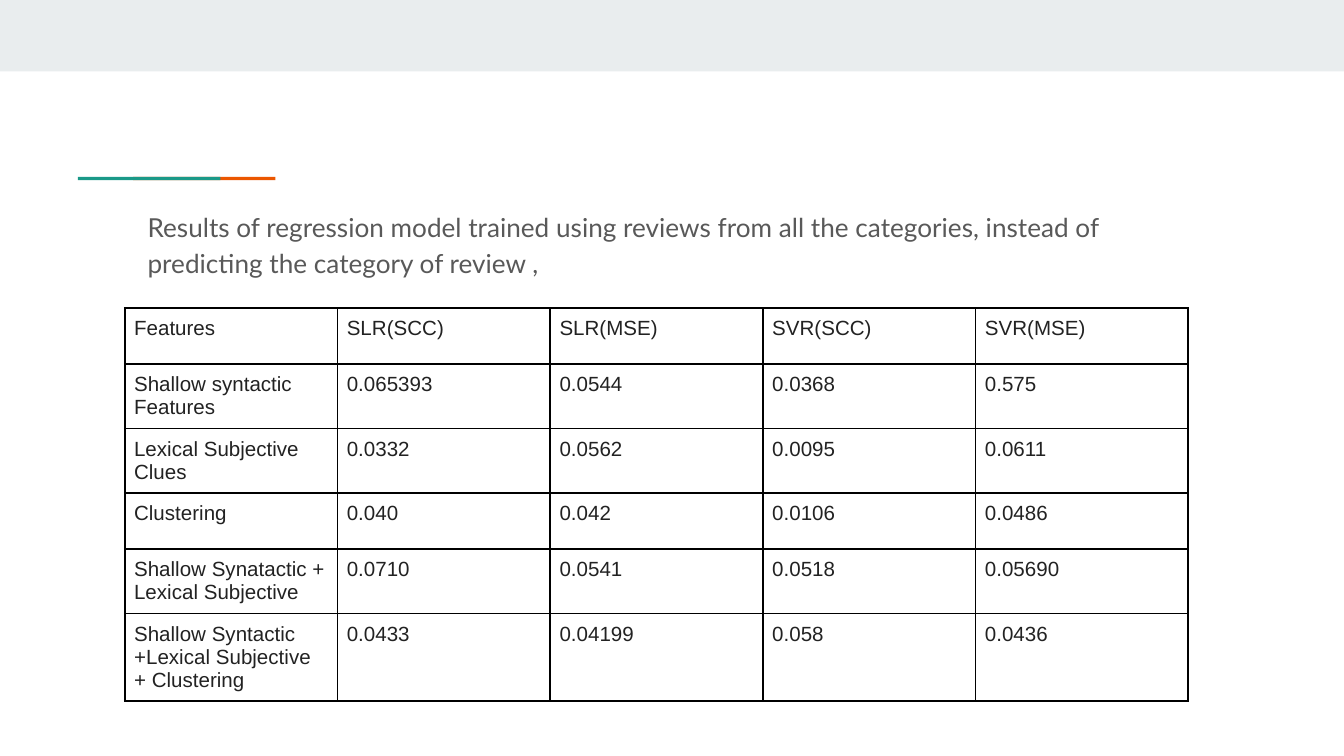
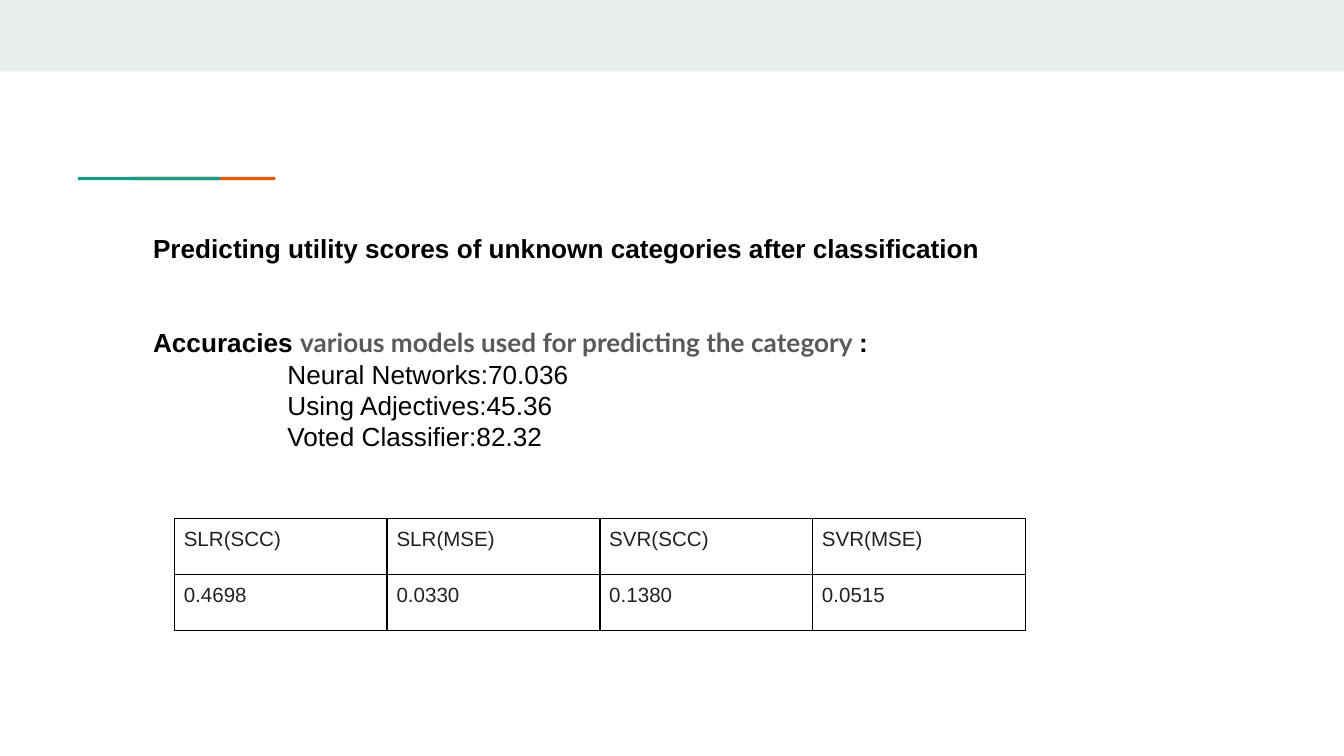
from dataclasses import dataclass

from lxml import etree
from pptx import Presentation
from pptx.dml.color import RGBColor
from pptx.enum.shapes import MSO_SHAPE
from pptx.oxml.ns import qn
from pptx.util import Inches, Pt

RECT = MSO_SHAPE.RECTANGLE
SLIDE_W = Inches(10)
SLIDE_H = SLIDE_W * 9 // 16

COLORS = {
    "band": "E9EDEE",
    "orange": "EB5600",
    "green": "1A9988",
    "body": "595959",
    "cell": "222222",
    "black": "000000",
}
SANS, LATO = "Arial", "Lato"
TEXT_SIZE, CELL_SIZE = 14, 11
COL_W, ROW_H = 15.83, 7.41  # table grid, percent of the slide
CELL_MARGIN = Inches(0.07)
TEXT_MARGIN = Inches(0.1)
LINE_PITCH = Pt(16.8)


@dataclass(frozen=True)
class Box:
    """Position and size in percent of the slide's width and height."""
    left: float
    top: float
    width: float
    height: float

    def emu(self) -> tuple[int, int, int, int]:
        return across(self.left), down(self.top), across(self.width), down(self.height)


@dataclass(frozen=True)
class Bar:
    box: Box
    color: str


@dataclass(frozen=True)
class Span:
    text: str
    font: str = SANS
    color: str = "black"
    bold: bool = False


@dataclass(frozen=True)
class Line:
    spans: tuple[Span, ...]
    indent: float = 0
    lines_before: int = 0


SHARED_BARS = (
    Bar(Box(0, 0, 100, 9.45), "band"),
    Bar(Box(9.9, 23.4, 10.6, 0.45), "orange"),
    Bar(Box(5.8, 23.4, 10.6, 0.45), "green"),
)
METRICS = ["SLR(SCC)", "SLR(MSE)", "SVR(SCC)", "SVR(MSE)"]
FEATURE_ROWS = [
    ["Features", *METRICS],
    ["Shallow syntactic Features", "0.065393", "0.0544", "0.0368", "0.575"],
    ["Lexical Subjective Clues", "0.0332", "0.0562", "0.0095", "0.0611"],
    ["Clustering", "0.040", "0.042", "0.0106", "0.0486"],
    ["Shallow Synatactic + Lexical Subjective", "0.0710", "0.0541", "0.0518", "0.05690"],
    ["Shallow Syntactic +Lexical Subjective + Clustering",
     "0.0433", "0.04199", "0.058", "0.0436"],
]
CLASSIFIED_ROWS = [METRICS, ["0.4698", "0.0330", "0.1380", "0.0515"]]

REGRESSION_TEXT = [Line((Span(
    "Results of regression model trained using reviews from all the categories, "
    "instead of predicting the category of review ,", LATO, "body"),))]
ACCURACIES = ["Neural Networks:70.036", "Using Adjectives:45.36", "Voted Classifier:82.32"]
ACCURACY_TEXT = [
    Line((Span("Predicting utility scores of unknown categories after classification",
               bold=True),)),
    Line((Span("Accuracies ", bold=True),
          Span("various models used for predicting the category ", LATO, "body", True),
          Span(":", bold=True)), lines_before=2),
    *(Line((Span(text),), indent=1) for text in ACCURACIES),
]


def across(percent: float) -> int:
    return round(SLIDE_W * percent / 100)


def down(percent: float) -> int:
    return round(SLIDE_H * percent / 100)


def rgb(name: str) -> RGBColor:
    return RGBColor.from_string(COLORS[name])


def style_run(r, font: str, size: float, color: str, bold: bool = False) -> None:
    r.font.name = font
    r.font.size = Pt(size)
    r.font.bold = bold
    r.font.color.rgb = rgb(color)


def add_bar(slide, bar: Bar) -> None:
    sp = slide.shapes.add_shape(RECT, *bar.box.emu())
    sp.shadow.inherit = False
    sp.fill.solid()
    sp.fill.fore_color.rgb = rgb(bar.color)
    sp.line.fill.background()


def new_slide(prs):
    """Add a blank slide with the shared band and accent line."""
    slide = prs.slides.add_slide(prs.slide_layouts[6])
    for bar in SHARED_BARS:
        add_bar(slide, bar)
    return slide


def add_text(slide, box: Box, lines: list[Line], spacing) -> None:
    tf = slide.shapes.add_textbox(*box.emu()).text_frame
    tf.word_wrap = True
    tf.margin_left = tf.margin_right = tf.margin_top = tf.margin_bottom = TEXT_MARGIN
    for i, line in enumerate(lines):
        p = tf.add_paragraph() if i else tf.paragraphs[0]
        p.line_spacing = spacing
        if line.lines_before:
            p.space_before = LINE_PITCH * line.lines_before
        if line.indent:
            p._p.get_or_add_pPr().set("marL", str(Inches(line.indent)))
        for span in line.spans:
            r = p.add_run()
            r.text = span.text
            style_run(r, span.font, TEXT_SIZE, span.color, span.bold)


def add_borders(cell) -> None:
    tc_pr = cell._tc.get_or_add_tcPr()
    for side in ("lnL", "lnR", "lnT", "lnB"):
        ln = etree.SubElement(tc_pr, qn(f"a:{side}"), w=str(Pt(1)))
        fill = etree.SubElement(ln, qn("a:solidFill"))
        etree.SubElement(fill, qn("a:srgbClr"), val=COLORS["black"])


def add_grid(slide, left: float, top: float, rows: list[list[str]]) -> None:
    n_rows, n_cols = len(rows), len(rows[0])
    box = Box(left, top, COL_W * n_cols, ROW_H * n_rows)
    table = slide.shapes.add_table(n_rows, n_cols, *box.emu()).table
    table.first_row = table.horz_banding = False
    for i, row in enumerate(rows):
        for j, text in enumerate(row):
            cell = table.cell(i, j)
            cell.margin_left = cell.margin_right = CELL_MARGIN
            cell.margin_top = cell.margin_bottom = CELL_MARGIN
            add_borders(cell)
            cell.fill.background()
            cell.text_frame.text = text
            style_run(cell.text_frame.paragraphs[0].runs[0], SANS, CELL_SIZE, "cell")


def main() -> None:
    prs = Presentation()
    prs.slide_width, prs.slide_height = SLIDE_W, SLIDE_H

    slide = new_slide(prs)
    add_grid(slide, 9.28, 40.75, FEATURE_ROWS)
    add_text(slide, Box(10, 25.6, 80, 13.5), REGRESSION_TEXT, 1.15)

    slide = new_slide(prs)
    add_grid(slide, 12.98, 68.6, CLASSIFIED_ROWS)
    add_text(slide, Box(10.4, 29, 78.5, 8.7), ACCURACY_TEXT, LINE_PITCH)

    prs.save("out.pptx")


if __name__ == "__main__":
    main()
